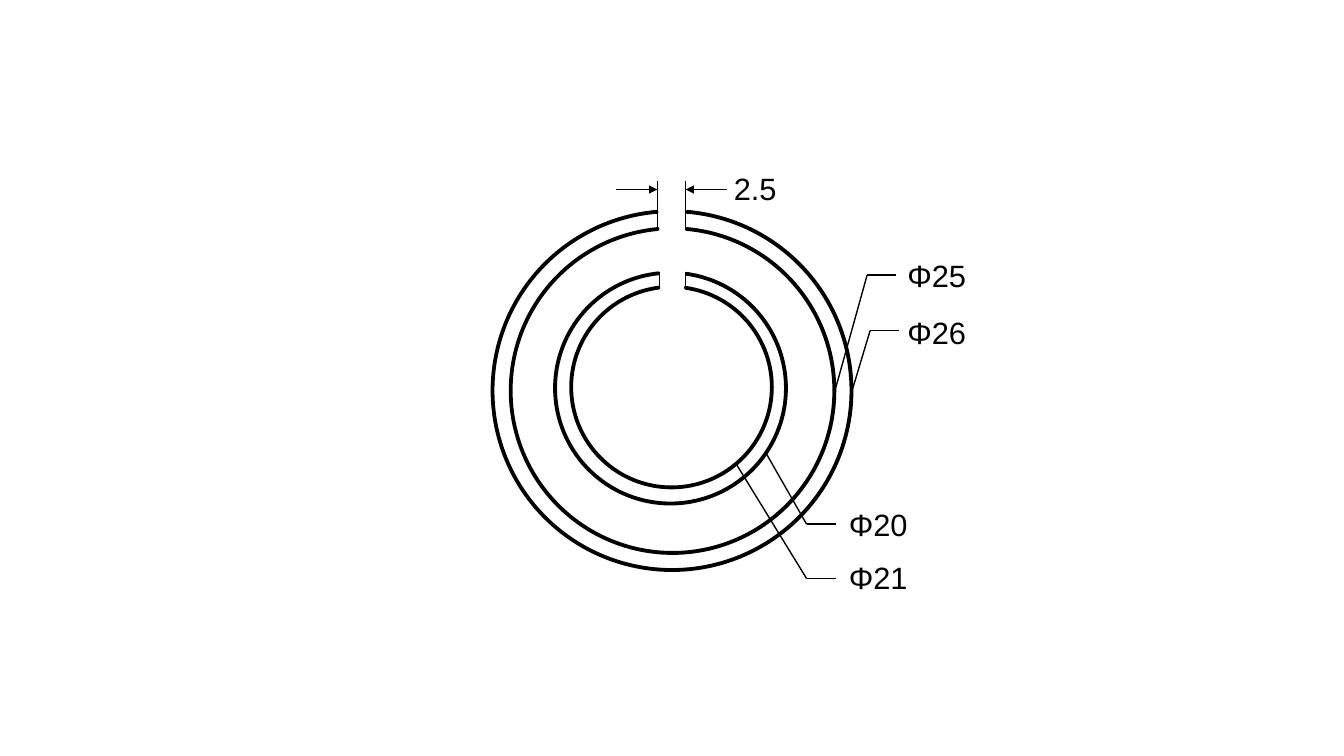
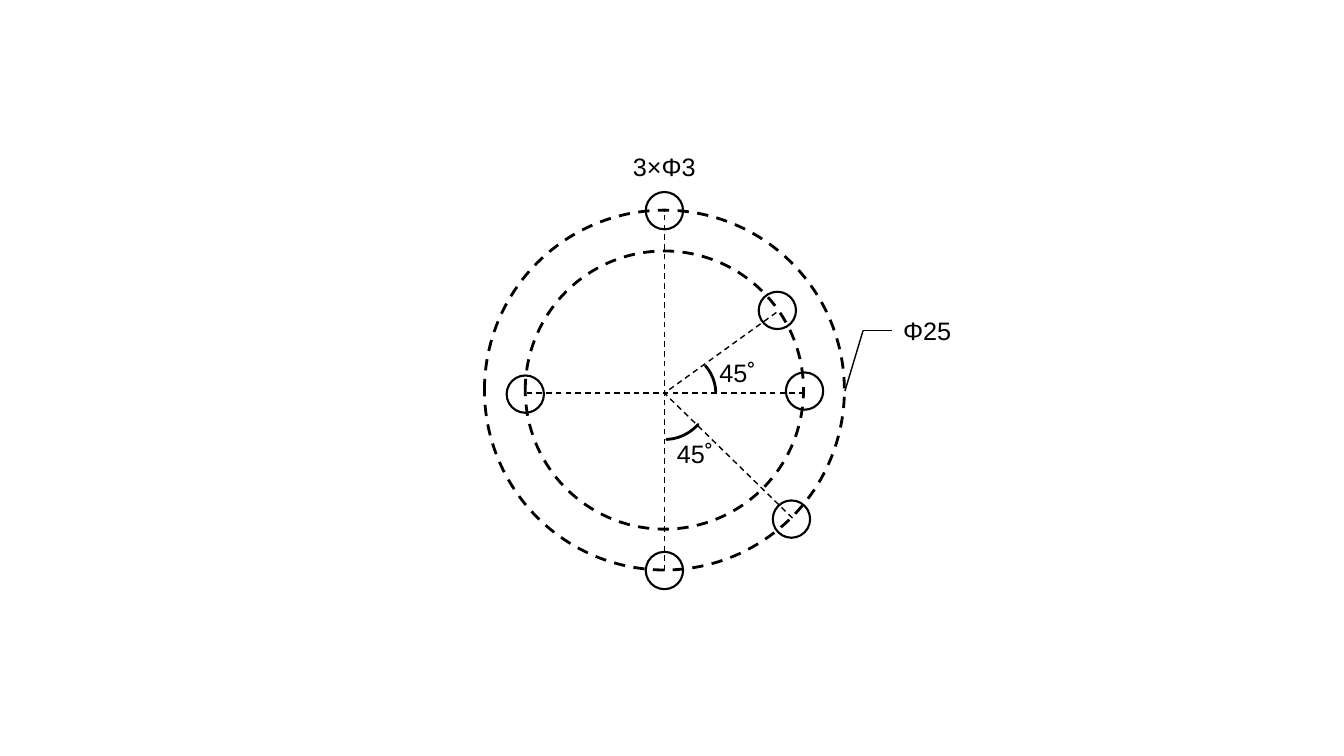
import pptx
import pptx.dml.color
import pptx.enum.dml
import pptx.enum.shapes
import pptx.enum.text
import pptx.oxml.ns
import pptx.util
import lxml.etree

Inches = pptx.util.Inches
Pt = pptx.util.Pt
SHAPES = pptx.enum.shapes.MSO_SHAPE


def color(value):
    return pptx.dml.color.RGBColor.from_string(value)


class Drawing:
    INK = "000000"
    FONT = "Arial"

    def __init__(self):
        self.deck = pptx.Presentation()
        self.deck.slide_width = Inches(13.33)
        self.deck.slide_height = Inches(7.5)
        self.slide = None

    def add_slide(self):
        self.slide = self.deck.slides.add_slide(self.deck.slide_layouts[6])

    def stroke(self, item, weight, dashed):
        item.line.color.rgb = color(self.INK)
        item.line.width = Pt(weight)
        if dashed:
            item.line.dash_style = pptx.enum.dml.MSO_LINE.DASH

    def outline(self, kind, left, top, width, height, weight, dashed=False):
        shape = self.slide.shapes.add_shape(
            kind, Inches(left), Inches(top), Inches(width), Inches(height))
        shape.shadow.inherit = False
        shape.fill.background()
        self.stroke(shape, weight, dashed)
        return shape

    def circle(self, center, diameter, weight, dashed=False):
        x, y = center
        self.outline(SHAPES.OVAL, x - diameter / 2, y - diameter / 2,
                     diameter, diameter, weight, dashed)

    def arc(self, left, top, width, height, start, end, thickness=0, rotation=0):
        shape = self.outline(SHAPES.BLOCK_ARC, left, top, width, height, 2)
        shape.rotation = rotation
        shape.adjustments[0] = start * 0.6
        shape.adjustments[1] = end * 0.6
        shape.adjustments[2] = thickness / min(width, height)

    def line(self, start, end, weight=1, dashed=False, arrow=False):
        connector = self.slide.shapes.add_connector(
            pptx.enum.shapes.MSO_CONNECTOR.STRAIGHT,
            *(Inches(value) for value in (*start, *end)))
        self.stroke(connector, weight, dashed)
        qn = pptx.oxml.ns.qn
        properties = connector.element.spPr
        if arrow:
            lxml.etree.SubElement(
                properties.find(qn("a:ln")), qn("a:tailEnd"), type="triangle")
        lxml.etree.SubElement(properties, qn("a:effectLst"))

    def leader(self, target, elbow):
        x, y = elbow
        self.line(target, elbow)
        self.line(elbow, (x + 0.29, y))

    def label(self, text, left, top, width, height, size, inset=None):
        box = self.slide.shapes.add_textbox(
            Inches(left), Inches(top), Inches(width), Inches(height))
        frame = box.text_frame
        frame.auto_size = pptx.enum.text.MSO_AUTO_SIZE.SHAPE_TO_FIT_TEXT
        frame.word_wrap = inset is not None
        if inset is not None:
            frame.margin_left = frame.margin_right = Inches(inset)
            frame.margin_top = frame.margin_bottom = Inches(inset)
        paragraph = frame.paragraphs[0]
        paragraph.text = text
        paragraph.alignment = pptx.enum.text.PP_ALIGN.CENTER
        paragraph.font.name = self.FONT
        paragraph.font.size = Pt(size)
        paragraph.font.color.rgb = color(self.INK)


def draw_split_rings(drawing):
    drawing.add_slide()
    rings = [
        (4.88, 2.09, 3.57, 3.57, 94.77, 85.19),
        (5.06, 2.26, 3.22, 3.23, 94.95, 84.87),
        (5.5, 2.7, 2.3, 2.3, 98, 84.01),
        (5.66, 2.84, 2, 2, 98, 82.72),
    ]
    for ring in rings:
        drawing.arc(*ring, thickness=0.01, rotation=180)

    for x, top in [(6.52, 2.09), (6.8, 2.09), (6.54, 2.7), (6.8, 2.7)]:
        drawing.line((x, top), (x, top + 0.17))

    for edge, outward in [(6.52, -1), (6.8, 1)]:
        drawing.line((edge, 1.8), (edge, 2.09), 0.75)
        drawing.line((edge + outward * 0.41, 1.88), (edge, 1.88), 0.75, arrow=True)
    drawing.label("2.5", 7.14, 1.63, 0.7, 0.46, 22)

    diameters = [
        ("Φ25", 8.88, 2.5, (8.28, 3.88), (8.6, 2.73)),
        ("Φ26", 8.88, 3.06, (8.45, 3.88), (8.63, 3.28)),
        ("Φ20", 8.3, 4.97, (7.6, 4.5), (8, 5.2)),
        ("Φ21", 8.3, 5.49, (7.3, 4.6), (8, 5.74)),
    ]
    for text, left, top, target, elbow in diameters:
        drawing.leader(target, elbow)
        drawing.label(text, left, top, 0.82, 0.46, 22)


def draw_hole_pattern(drawing):
    drawing.add_slide()
    for diameter in (3.57, 2.76):
        drawing.circle((6.59, 3.87), diameter, 2, dashed=True)

    holes = [(6.59, 2.09), (6.59, 5.66), (7.85, 5.15),
             (7.71, 3.08), (7.98, 3.88), (5.21, 3.91)]
    for hole in holes:
        drawing.circle(hole, 0.37, 1.5)

    hub = (6.59, 3.9)
    axes = [((6.59, 5.66), (6.59, 2.09)), ((7.98, 3.9), (5.2, 3.9)),
            ((7.86, 5.14), hub), ((7.7, 3.1), hub)]
    for start, end in axes:
        drawing.line(start, end, dashed=True)

    drawing.arc(6.11, 3.42, 0.97, 0.91, 315.67, 358, rotation=90)
    drawing.arc(6.33, 3.5, 0.77, 0.81, 315.67, 358)
    for left, top in [(6.61, 4.31), (7.03, 3.5)]:
        drawing.label("45˚", left, top, 0.57, 0.38, 18, inset=0.04)

    drawing.label("3×Φ3", 6.16, 1.45, 0.86, 0.4, 18)
    drawing.leader((8.38, 3.88), (8.56, 3.28))
    drawing.label("Φ25", 8.82, 3.08, 0.75, 0.4, 18)


def main():
    drawing = Drawing()
    draw_split_rings(drawing)
    draw_hole_pattern(drawing)
    drawing.deck.save("out.pptx")


if __name__ == "__main__":
    main()
